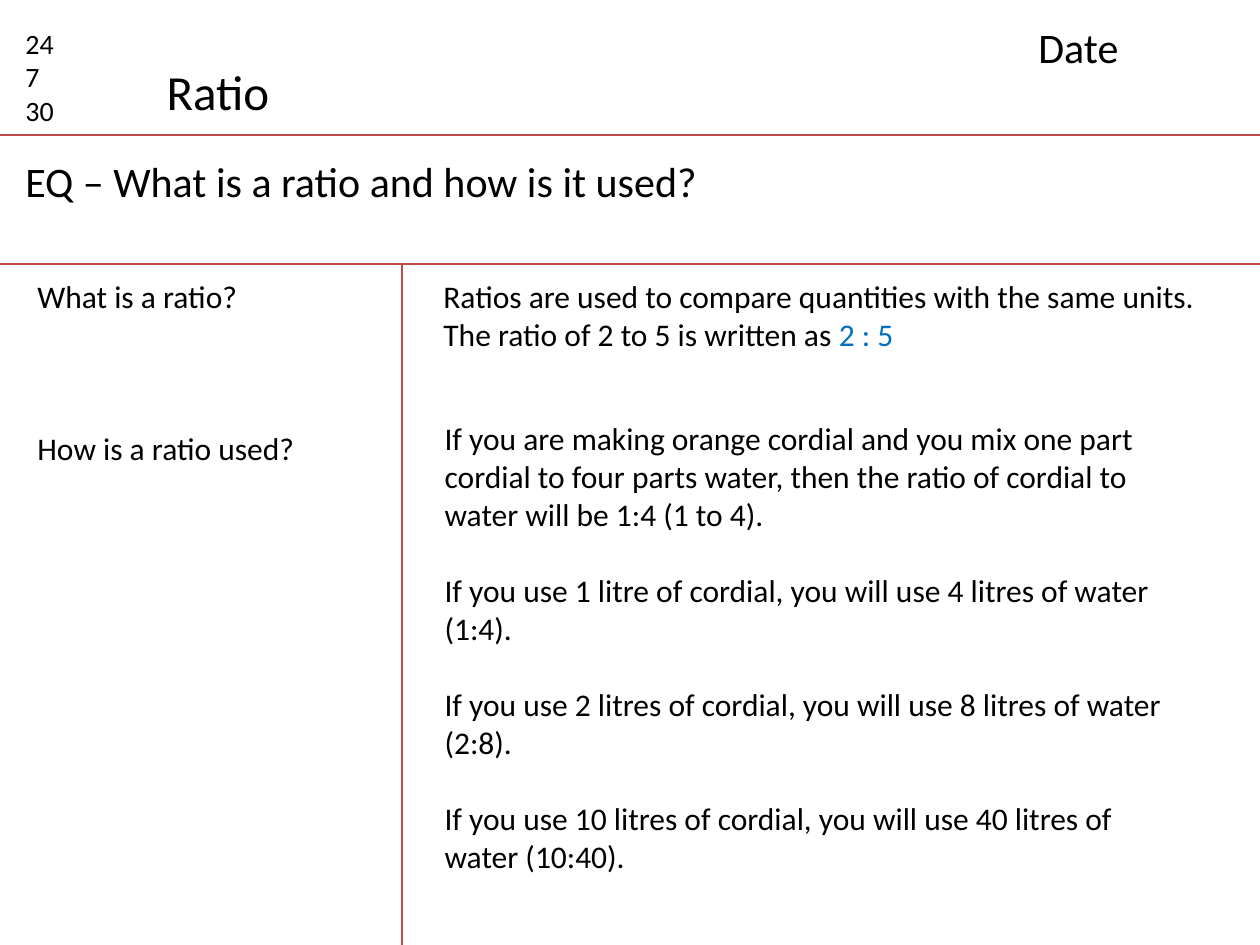
from dataclasses import dataclass

from lxml import etree
from pptx import Presentation
from pptx import util as u
from pptx.dml.color import RGBColor
from pptx.enum import shapes, text
from pptx.oxml.ns import qn

SCALE = 914400 / 126
WIDTH, HEIGHT = 1260, 945
FONT = "Calibri"
COLORS = {"text": "000000", "rule": "BF4C48", "ratio": "0070C0"}
HEADER_Y, QUESTION_Y, COLUMN_X = 135, 264, 402


@dataclass(frozen=True)
class Rule:
    x1: int
    y1: int
    x2: int
    y2: int


@dataclass(frozen=True)
class Note:
    left: int
    top: int
    width: int
    height: int
    size: int
    lines: tuple[str, ...]
    wrap: bool = True
    gap: int = 0


RULES = (
    Rule(0, HEADER_Y, WIDTH, HEADER_Y),
    Rule(0, QUESTION_Y, WIDTH, QUESTION_Y),
    Rule(COLUMN_X, QUESTION_Y, COLUMN_X, HEIGHT),
)
TITLE = Note(154, 55, 130, 72, 28, ("Ratio",), wrap=False)
EXAMPLES = Note(432, 413, 753, 471, 18, (
    "If you are making orange cordial and you mix one part cordial to four parts water, "
    "then the ratio of cordial to water will be 1:4 (1 to 4).",
    "If you use 1 litre of cordial, you will use 4 litres of water (1:4).",
    "If you use 2 litres of cordial, you will use 8 litres of water (2:8).",
    "If you use 10 litres of cordial, you will use 40 litres of water (10:40).",
), gap=22)
DEFINITION = Note(431, 271, 786, 204, 18, (
    "Ratios are used to compare quantities with the same units.",
    "The ratio of 2 to 5 is written as ",
), wrap=False)
NOTES = (
    Note(13, 20, 79, 115, 16, ("24", "7", "30")),
    Note(1026, 15, 218, 63, 24, ("Date",)),
    Note(13, 149, 1188, 63, 24, ("EQ – What is a ratio and how is it used?",)),
    Note(25, 271, 228, 50, 18, ("What is a ratio?",), wrap=False),
    Note(25, 423, 357, 50, 18, ("How is a ratio used?",)),
)


def px(value: int) -> u.Emu:
    return u.Emu(round(value * SCALE))


def color(name: str) -> RGBColor:
    return RGBColor.from_string(COLORS[name])


def draw_rule(slide, rule: Rule) -> None:
    connector = slide.shapes.add_connector(
        shapes.MSO_CONNECTOR.STRAIGHT, px(rule.x1), px(rule.y1), px(rule.x2), px(rule.y2))
    connector.line.color.rgb = color("rule")
    connector.line.width = u.Pt(0.75)
    etree.SubElement(connector._element.spPr, qn("a:effectLst"))


def remove_bullet(paragraph) -> None:
    properties = paragraph._p.get_or_add_pPr()
    properties.set("marL", "0")
    properties.set("indent", "0")
    etree.SubElement(properties, qn("a:buNone"))


def write_note(shape, note: Note) -> None:
    shape.left, shape.top = px(note.left), px(note.top)
    shape.width, shape.height = px(note.width), px(note.height)
    frame = shape.text_frame
    frame.text = "\n".join(note.lines)
    frame.word_wrap = note.wrap
    frame.auto_size = text.MSO_AUTO_SIZE.SHAPE_TO_FIT_TEXT
    frame.vertical_anchor = text.MSO_ANCHOR.TOP
    for index, paragraph in enumerate(frame.paragraphs):
        if shape.is_placeholder:
            remove_bullet(paragraph)
        paragraph.alignment = text.PP_ALIGN.LEFT
        paragraph.space_before = u.Pt(note.gap if index else 0)
        for run in paragraph.runs:
            format_run(run, note.size, "text")


def format_run(run, size: int, color_name: str) -> None:
    run.font.name = FONT
    run.font.size = u.Pt(size)
    run.font.color.rgb = color(color_name)


def add_note(slide, note: Note):
    box = slide.shapes.add_textbox(0, 0, 0, 0)
    write_note(box, note)
    return box


def main() -> None:
    presentation = Presentation()
    presentation.slide_width, presentation.slide_height = px(WIDTH), px(HEIGHT)
    slide = presentation.slides.add_slide(presentation.slide_layouts[1])
    for rule in RULES:
        draw_rule(slide, rule)
    write_note(slide.shapes.title, TITLE)
    write_note(slide.placeholders[1], EXAMPLES)
    for note in NOTES:
        add_note(slide, note)
    definition = add_note(slide, DEFINITION)
    ratio = definition.text_frame.paragraphs[-1].add_run()
    ratio.text = "2 : 5"
    format_run(ratio, DEFINITION.size, "ratio")
    presentation.save("out.pptx")


if __name__ == "__main__":
    main()
